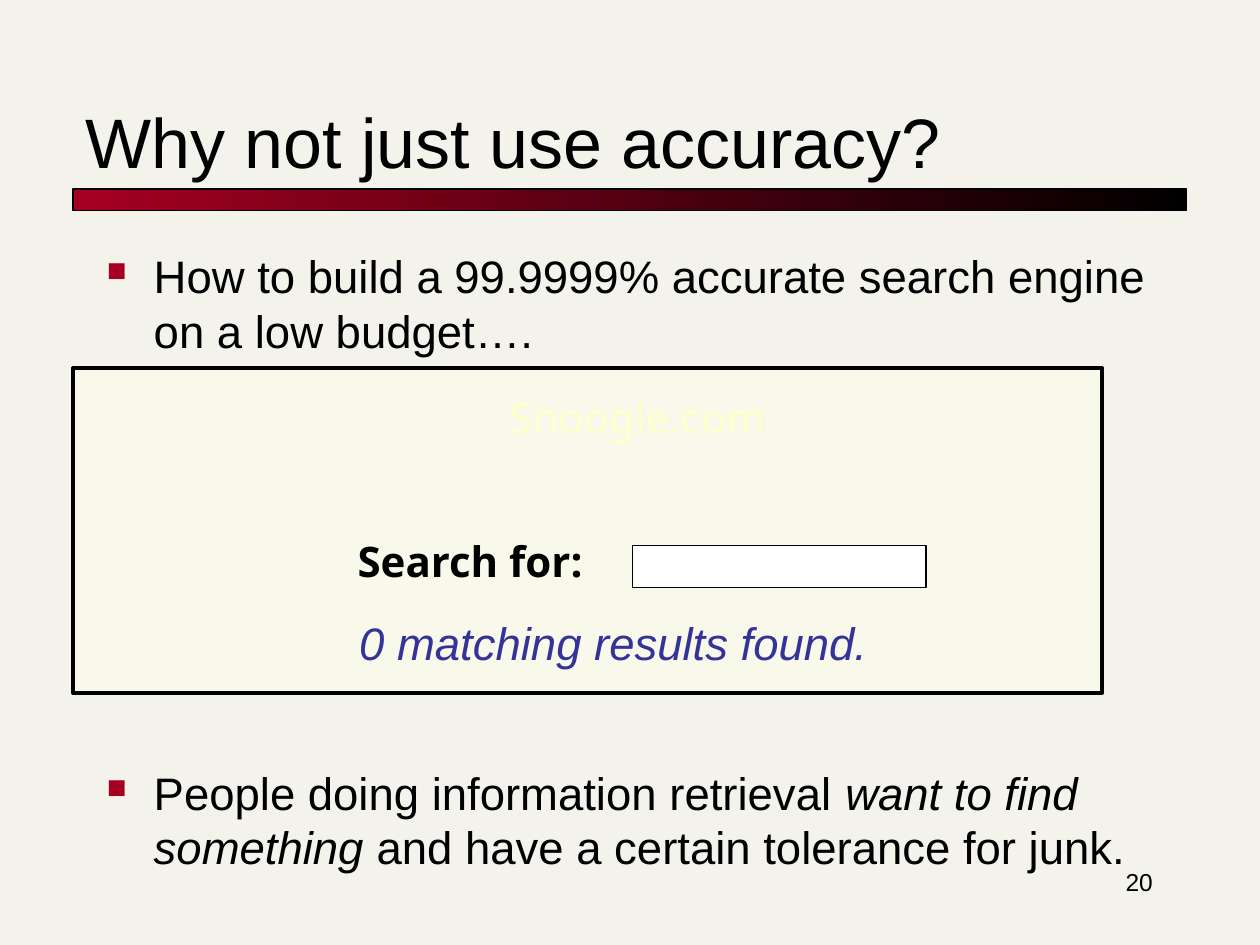
"""Build the slide on why accuracy is a poor measure for search."""
import lxml.etree
import pptx
import pptx.dml.color
import pptx.enum.shapes
import pptx.enum.text
import pptx.oxml.ns
import pptx.util
from pptx.util import Cm

RGBColor = pptx.dml.color.RGBColor
BACKGROUND = RGBColor(0xF4, 0xF3, 0xEB)
BLACK = RGBColor(0, 0, 0)
WHITE = RGBColor(0xFF, 0xFF, 0xFF)
CRIMSON = RGBColor(0xA5, 0x00, 0x21)
CREAM = RGBColor(0xFC, 0xFE, 0xEC)
PALE_YELLOW = RGBColor(0xFF, 0xFF, 0xCC)
INDIGO = RGBColor(0x33, 0x33, 0x99)
ALIGN = pptx.enum.text.PP_ALIGN


def add_xml(parent, tag, **attributes):
    """Append a DrawingML element to a parent and return it."""
    element = lxml.etree.SubElement(parent, pptx.oxml.ns.qn(tag))
    for name, value in attributes.items():
        element.set(name, value)
    return element


def format_font(font, size, color=BLACK, name="Arial", bold=False, italic=False):
    """Set the look of a font."""
    font.size = pptx.util.Pt(size)
    font.name = name
    font.color.rgb = color
    font.bold = bold
    font.italic = italic


def add_title(slide, text):
    """Place and format the title placeholder."""
    title = slide.shapes.title
    title.left, title.top, title.width, title.height = Cm(1.47), Cm(1.07), Cm(22.43), Cm(2.74)
    title.text_frame.text = text
    title.text_frame.vertical_anchor = pptx.enum.text.MSO_ANCHOR.BOTTOM
    paragraph = title.text_frame.paragraphs[0]
    paragraph.alignment = ALIGN.LEFT
    format_font(paragraph.runs[0].font, 40)


def add_rectangle(slide, left, top, width, height, line_width=0.75):
    """Add a black-outlined rectangle without shadow."""
    shape = slide.shapes.add_shape(
        pptx.enum.shapes.MSO_SHAPE.RECTANGLE, Cm(left), Cm(top), Cm(width), Cm(height))
    shape.shadow.inherit = False
    shape.line.color.rgb = BLACK
    shape.line.width = pptx.util.Pt(line_width)
    return shape


def fill_gradient(shape, start, end):
    """Fill a shape with a left-to-right gradient."""
    shape.fill.gradient()
    shape.fill.gradient_angle = 0
    for stop, color in zip(shape.fill.gradient_stops, (start, end)):
        stop.color.rgb = color


def fill_solid(shape, color, opacity=100):
    """Fill a shape with one colour at a given opacity in percent."""
    shape.fill.solid()
    shape.fill.fore_color.rgb = color
    if opacity < 100:
        color_element = shape.fill._xPr.find(".//" + pptx.oxml.ns.qn("a:srgbClr"))
        add_xml(color_element, "a:alpha", val=str(opacity * 1000))


def add_label(slide, text, left, top, width, height, size, alignment=ALIGN.LEFT, **look):
    """Add a one-line text box."""
    shape = slide.shapes.add_textbox(Cm(left), Cm(top), Cm(width), Cm(height))
    shape.text_frame.text = text
    shape.text_frame.word_wrap = alignment != ALIGN.LEFT
    paragraph = shape.text_frame.paragraphs[0]
    paragraph.alignment = alignment
    format_font(paragraph.runs[0].font, size, **look)


def add_bullet(slide, top, pieces):
    """Add a bulleted paragraph from pairs of text and italic flag."""
    shape = slide.shapes.add_textbox(Cm(1.9), Cm(top), Cm(21.6), Cm(2.4))
    shape.text_frame.word_wrap = True
    paragraph = shape.text_frame.paragraphs[0]
    properties = paragraph._p.get_or_add_pPr()
    properties.set("marL", str(Cm(0.95)))
    properties.set("indent", str(-Cm(0.95)))
    add_xml(add_xml(properties, "a:buClr"), "a:srgbClr", val=str(CRIMSON))
    add_xml(properties, "a:buSzPct", val="60000")
    add_xml(properties, "a:buChar", char="■")
    for text, italic in pieces:
        run = paragraph.add_run()
        run.text = text
        format_font(run.font, 26, italic=italic)


def main():
    """Build and save the slide."""
    presentation = pptx.Presentation()
    presentation.slide_width, presentation.slide_height = Cm(25.4), Cm(19.05)
    slide = presentation.slides.add_slide(presentation.slide_layouts[5])
    slide.background.fill.solid()
    slide.background.fill.fore_color.rgb = BACKGROUND

    title_bar = add_rectangle(slide, 1.47, 3.81, 22.45, 0.43)
    fill_gradient(title_bar, CRIMSON, BLACK)
    add_title(slide, "Why not just use accuracy?")
    search_page = add_rectangle(slide, 1.47, 7.42, 20.75, 6.55, 2)
    fill_solid(search_page, CREAM, 50)

    add_bullet(slide, 4.88, [
        ("How to build a 99.9999% accurate search engine on a low budget….", False)])
    add_bullet(slide, 15.29, [
        ("People doing information retrieval ", False),
        ("want to find something", True),
        (" and have a certain tolerance for junk.", False)])

    add_label(slide, "Snoogle.com", 9.8, 7.77, 6.1, 1.4, 24, ALIGN.CENTER,
              color=PALE_YELLOW, name="Noto Sans")
    add_label(slide, "Search for:", 6.96, 10.67, 5.28, 1.27, 24, name="Noto Sans", bold=True)
    search_field = add_rectangle(slide, 12.75, 11, 5.92, 0.84)
    fill_solid(search_field, WHITE)
    add_label(slide, "0 matching results found.", 6.99, 12.27, 10.77, 1.37, 26,
              color=INDIGO, italic=True)
    add_label(slide, "20", 18.21, 17.35, 5.28, 1.27, 14, ALIGN.RIGHT)
    presentation.save("out.pptx")


if __name__ == "__main__":
    main()
